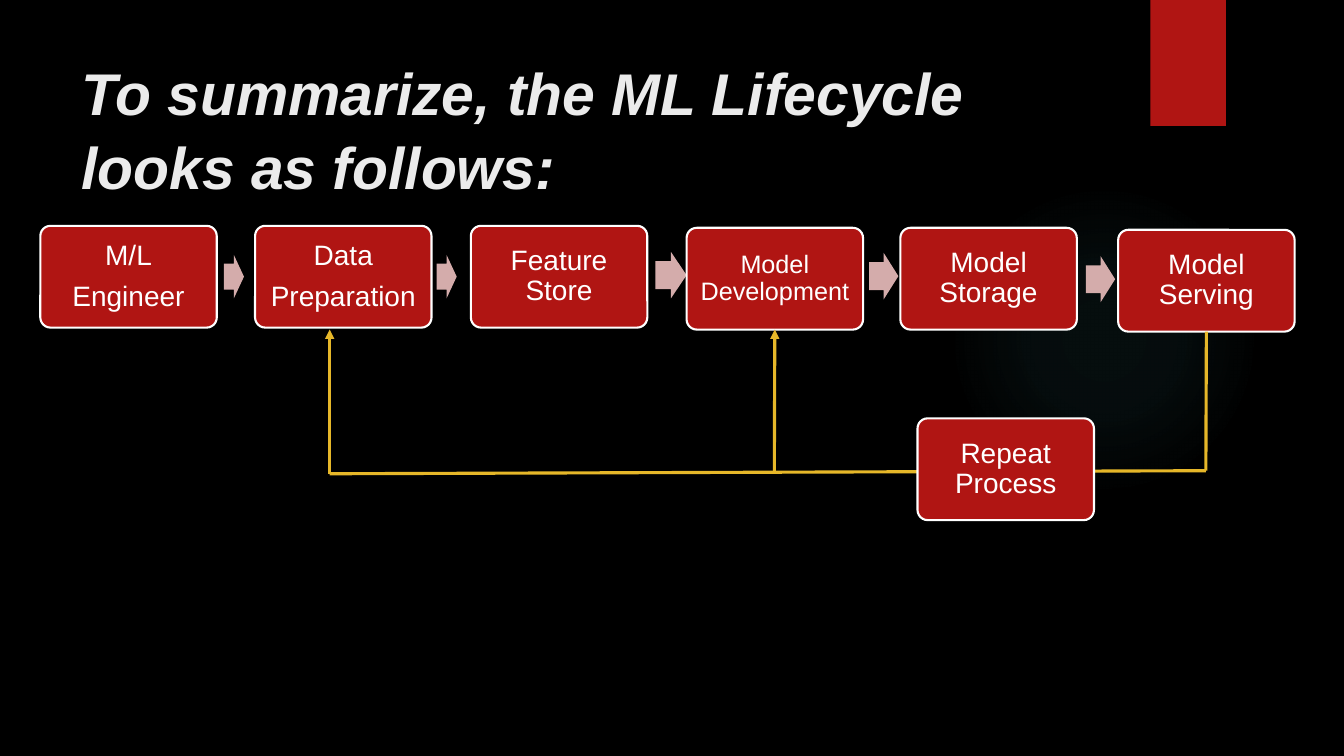
from dataclasses import dataclass

from lxml import etree
from pptx import Presentation
from pptx.dml.color import RGBColor
from pptx.enum.shapes import MSO_CONNECTOR, MSO_SHAPE
from pptx.enum.text import MSO_ANCHOR, PP_ALIGN
from pptx.oxml import parse_xml
from pptx.oxml.ns import nsdecls, qn
from pptx.util import Pt

ROUNDED = MSO_SHAPE.ROUNDED_RECTANGLE
RECTANGLE = MSO_SHAPE.RECTANGLE
RIGHT_ARROW = MSO_SHAPE.RIGHT_ARROW
ELLIPSE = MSO_SHAPE.OVAL
STRAIGHT = MSO_CONNECTOR.STRAIGHT
MIDDLE = MSO_ANCHOR.MIDDLE
CENTER = PP_ALIGN.CENTER

EMU_PER_PX = 9144
FONT = "Arial"
BOTTOM_SIDE = 2
STEP_WIDTH, STEP_HEIGHT = 175, 101
COLORS = {
    "background": "000000",
    "red": "B01513",
    "pink": "D4ACAB",
    "gold": "E6B729",
    "white": "FFFFFF",
    "title": "EBEBEB",
    "glow": "50B9C1",
}
GLOW_STOPS = ((0, 7), (36, 6), (69, 0))


@dataclass(frozen=True)
class Step:
    left: int
    top: int
    lines: tuple[str, ...]
    size: int = 20


@dataclass(frozen=True)
class Arrow:
    left: int
    top: int
    width: int
    height: int


@dataclass(frozen=True)
class Link:
    start: tuple[int, int]
    end: tuple[int, int]
    has_head: bool = False
    target: str = ""


STEPS = (
    Step(40, 224, ("M/L", "Engineer")),
    Step(253, 224, ("Data", "Preparation")),
    Step(467, 224, ("Feature Store",)),
    Step(681, 226, ("Model Development",), 18),
    Step(893, 226, ("Model Storage",)),
    Step(1109, 228, ("Model Serving",)),
)
REPEAT = Step(910, 415, ("Repeat Process",))
ARROWS = (
    Arrow(222, 253, 20, 43),
    Arrow(433, 253, 20, 43),
    Arrow(650, 250, 31, 46),
    Arrow(862, 251, 29, 46),
    Arrow(1077, 254, 29, 46),
)
LINKS = (
    Link((1196, 467), (1196, 329), target="Model Serving"),
    Link((1196, 467), (327, 470)),
    Link((327, 470), (327, 327), has_head=True),
    Link((768, 469), (768, 327), has_head=True, target="Model Development"),
)


def px(value: int) -> int:
    return value * EMU_PER_PX


def color(name: str) -> RGBColor:
    return RGBColor.from_string(COLORS[name])


def add_block(page, kind, left: int, top: int, width: int, height: int, fill: str):
    block = page.shapes.add_shape(kind, px(left), px(top), px(width), px(height))
    block.shadow.inherit = False
    block.fill.solid()
    block.fill.fore_color.rgb = color(fill)
    block.line.fill.background()
    return block


def add_span(para, text: str, size: int, tint: str):
    span = para.add_run()
    span.text = text
    span.font.name = FONT
    span.font.size = Pt(size)
    span.font.color.rgb = color(tint)
    return span


def add_glow(page) -> None:
    glow = add_block(page, ELLIPSE, 941, 183, 308, 308, "glow")
    stops = "".join(
        f'<a:gs pos="{position * 1000}"><a:srgbClr val="{COLORS["glow"]}">'
        f'<a:alpha val="{opacity * 1000}"/></a:srgbClr></a:gs>'
        for position, opacity in GLOW_STOPS
    )
    gradient = parse_xml(
        f'<a:gradFill {nsdecls("a")}><a:gsLst>{stops}</a:gsLst><a:path path="circle">'
        '<a:fillToRect l="50000" t="50000" r="50000" b="50000"/></a:path></a:gradFill>'
    )
    properties = glow.element.spPr
    properties.replace(properties.find(qn("a:solidFill")), gradient)


def add_title(page, text: str) -> None:
    box = page.shapes.add_textbox(px(71), px(50), px(1029), px(153))
    frame = box.text_frame
    frame.word_wrap = True
    frame.vertical_anchor = MIDDLE
    para = frame.paragraphs[0]
    para.line_spacing = 1.05
    span = add_span(para, text, 42, "title")
    span.font.bold = True
    span.font.italic = True


def add_step(page, step: Step):
    box = add_block(page, ROUNDED, step.left, step.top, STEP_WIDTH, STEP_HEIGHT, "red")
    box.adjustments[0] = 0.1
    box.line.color.rgb = color("white")
    box.line.width = Pt(1.5)
    frame = box.text_frame
    frame.word_wrap = True
    frame.vertical_anchor = MIDDLE
    frame.margin_left = frame.margin_right = px(8)
    frame.margin_top = frame.margin_bottom = px(8)
    for index, line in enumerate(step.lines):
        para = frame.add_paragraph() if index else frame.paragraphs[0]
        para.alignment = CENTER
        para.line_spacing = 0.9
        para.space_after = Pt(8)
        add_span(para, line, step.size, "white")
    return box


def add_arrow(page, arrow: Arrow) -> None:
    shape = add_block(
        page, RIGHT_ARROW, arrow.left, arrow.top, arrow.width, arrow.height, "pink"
    )
    shape.adjustments[0] = 0.6
    shape.adjustments[1] = 0.5


def add_link(page, link: Link, boxes: dict) -> None:
    connector = page.shapes.add_connector(
        STRAIGHT, *(px(value) for value in link.start + link.end)
    )
    connector.line.color.rgb = color("gold")
    connector.line.width = Pt(2.25)
    if link.has_head:
        outline = connector.line._get_or_add_ln()
        etree.SubElement(outline, qn("a:tailEnd"), type="triangle")
    etree.SubElement(connector.element.spPr, qn("a:effectLst"))
    if link.target:
        connector.end_connect(boxes[link.target], BOTTOM_SIDE)


def main() -> None:
    deck = Presentation()
    deck.slide_width, deck.slide_height = px(1333), px(750)
    page = deck.slides.add_slide(deck.slide_layouts[6])
    page.background.fill.solid()
    page.background.fill.fore_color.rgb = color("background")
    add_glow(page)
    add_block(page, RECTANGLE, 1141, 0, 75, 125, "red")
    add_title(page, "To summarize, the ML Lifecycle looks as follows:")
    for arrow in ARROWS:
        add_arrow(page, arrow)
    boxes = {" ".join(step.lines): add_step(page, step) for step in STEPS}
    for link in LINKS:
        add_link(page, link, boxes)
    add_step(page, REPEAT)
    deck.save("out.pptx")


if __name__ == "__main__":
    main()
